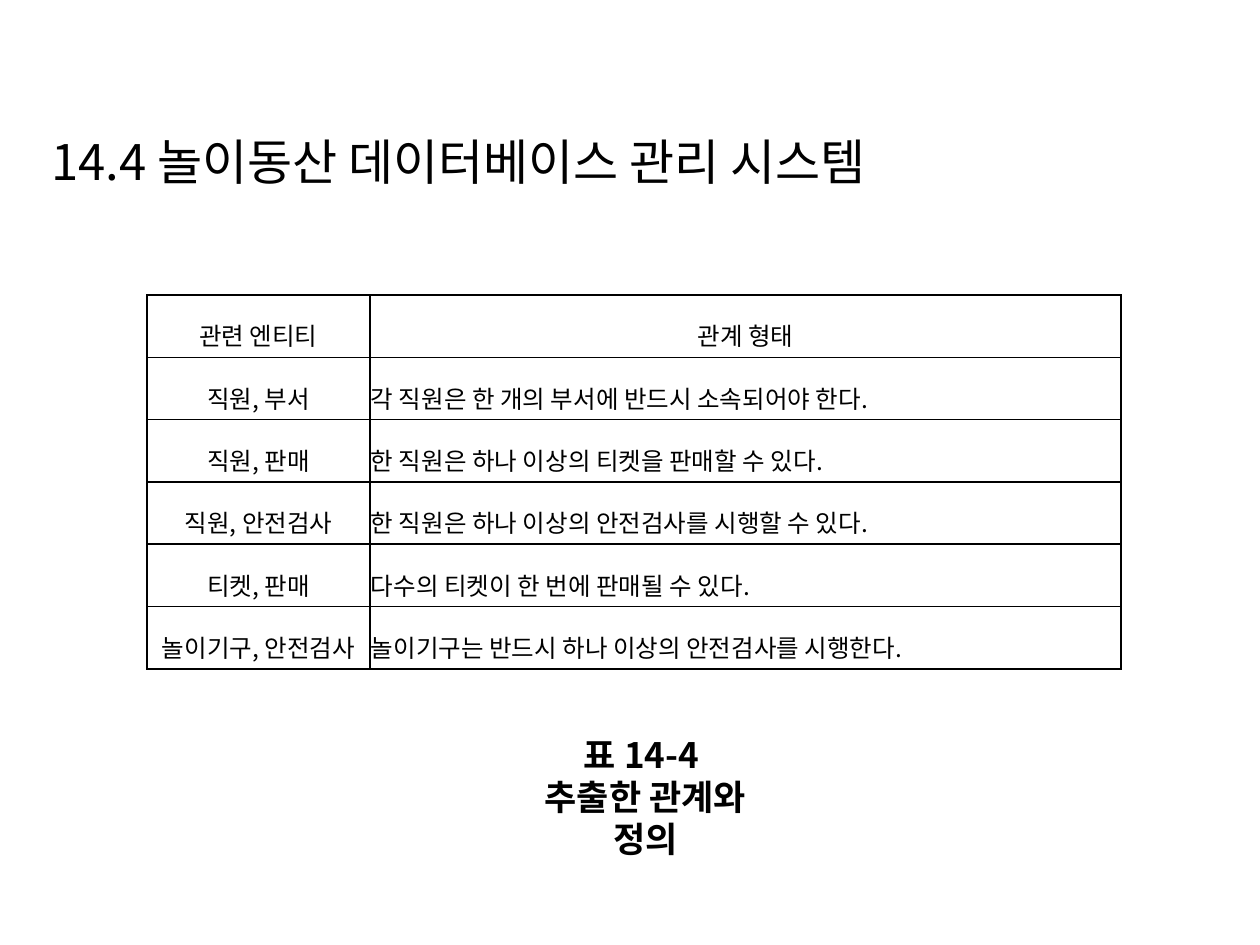
from pptx import Presentation
from pptx.dml.color import RGBColor
from pptx.enum.text import MSO_ANCHOR, MSO_AUTO_SIZE, PP_ALIGN
from pptx.oxml.ns import qn
from pptx.util import Pt
from lxml.etree import SubElement

PX = 914400 / 126
FONT = "Noto Sans CJK KR"
COLORS = {"text": "000000", "border": "000000"}
ROWS = [
    ("관련 엔티티", "관계 형태"),
    ("직원, 부서", "각 직원은 한 개의 부서에 반드시 소속되어야 한다."),
    ("직원, 판매", "한 직원은 하나 이상의 티켓을 판매할 수 있다."),
    ("직원, 안전검사", "한 직원은 하나 이상의 안전검사를 시행할 수 있다."),
    ("티켓, 판매", "다수의 티켓이 한 번에 판매될 수 있다."),
    ("놀이기구, 안전검사", "놀이기구는 반드시 하나 이상의 안전검사를 시행한다."),
]


def px(value):
    return round(value * PX)


class SlideBuilder:
    def __init__(self, deck):
        self.slide = deck.slides.add_slide(deck.slide_layouts[5])

    def format_paragraph(self, paragraph, size, align, bold=False):
        paragraph.alignment = align
        font = paragraph.font
        font.size = Pt(size)
        font.bold = bold
        font.color.rgb = RGBColor.from_string(COLORS["text"])
        font.name = FONT
        defaults = paragraph._p.pPr.find(qn("a:defRPr"))
        SubElement(defaults, qn("a:ea"), typeface=FONT)

    def title(self, text, left, top, width, height):
        box = self.slide.shapes.title
        box.left, box.top, box.width, box.height = map(px, (left, top, width, height))
        frame = box.text_frame
        frame.text = text
        frame.word_wrap = False
        frame.auto_size = MSO_AUTO_SIZE.SHAPE_TO_FIT_TEXT
        frame.vertical_anchor = MSO_ANCHOR.TOP
        self.format_paragraph(frame.paragraphs[0], 28, PP_ALIGN.LEFT)

    def caption(self, lines, left, top, width, height):
        box = self.slide.shapes.add_textbox(*map(px, (left, top, width, height)))
        frame = box.text_frame
        frame.text = "\n".join(lines)
        frame.word_wrap = False
        frame.vertical_anchor = MSO_ANCHOR.MIDDLE
        for paragraph in frame.paragraphs:
            self.format_paragraph(paragraph, 20, PP_ALIGN.CENTER, bold=True)

    def border(self, cell):
        properties = cell._tc.get_or_add_tcPr()
        for side in ("lnL", "lnR", "lnT", "lnB"):
            line = SubElement(properties, qn(f"a:{side}"), w=str(Pt(1)))
            fill = SubElement(line, qn("a:solidFill"))
            SubElement(fill, qn("a:srgbClr"), val=COLORS["border"])

    def cell(self, cell, text, align):
        cell.text = text
        cell.vertical_anchor = MSO_ANCHOR.MIDDLE
        cell.margin_left = cell.margin_right = px(1)
        cell.margin_top = cell.margin_bottom = px(1)
        paragraph = cell.text_frame.paragraphs[0]
        paragraph.line_spacing = 1.5
        self.format_paragraph(paragraph, 14, align)
        self.border(cell)
        cell.fill.background()

    def table(self, rows, left, top, widths, height):
        area = map(px, (left, top, sum(widths), height))
        table = self.slide.shapes.add_table(len(rows), len(widths), *area).table
        table.first_row = False
        table.horz_banding = False
        for column, width in zip(table.columns, widths):
            column.width = px(width)
        for row_index, row in enumerate(rows):
            for column_index, text in enumerate(row):
                centred = row_index == 0 or column_index == 0
                align = PP_ALIGN.CENTER if centred else PP_ALIGN.JUSTIFY
                self.cell(table.cell(row_index, column_index), text, align)


def main():
    deck = Presentation()
    deck.slide_width, deck.slide_height = px(1260), px(945)
    builder = SlideBuilder(deck)
    builder.caption(["표 14-4 ", "추출한 관계와 정의"], 514, 748, 263, 96)
    builder.title("14.4 놀이동산 데이터베이스 관리 시스템", 39, 125, 930, 72)
    builder.table(ROWS, 147, 295, (223, 751), 374)
    deck.save("out.pptx")


if __name__ == "__main__":
    main()
